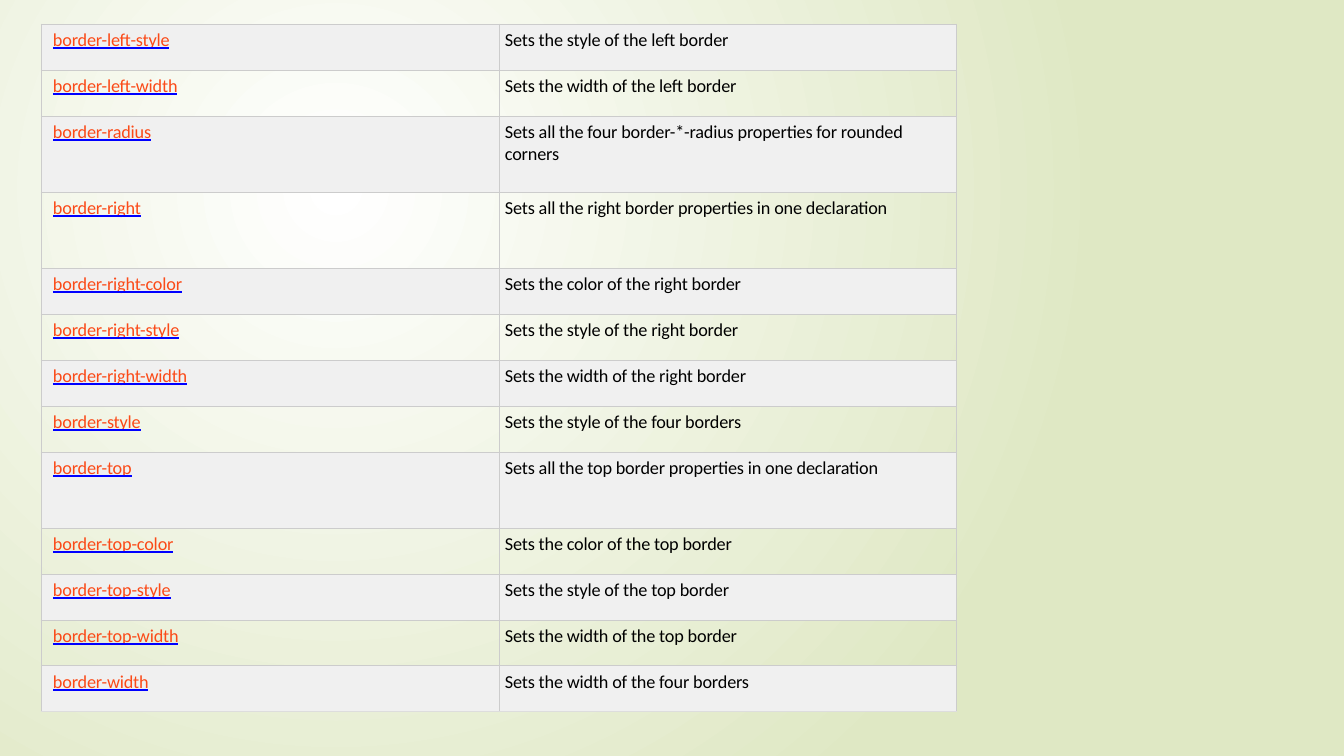
from dataclasses import dataclass

from lxml.etree import SubElement
from pptx import Presentation
from pptx.dml.color import RGBColor
from pptx.oxml import parse_xml
from pptx.oxml.ns import nsdecls, qn
from pptx.util import Pt

PX = 914400 / 100.8


@dataclass(frozen=True)
class Theme:
    font: str = "Calibri"
    size: int = 13
    gap: float = 3.6
    track: int = -10
    ink: str = "000000"
    name: str = "FB4A18"
    under: str = "0000FF"
    band: str = "F0F0F0"
    rule: str = "CCCCCC"
    foot: str = "DDDDDD"
    glow: str = "FFFFFF"
    back: str = "DFE8C4"


T = Theme()
WIDE, LOW, TALL = 458, 46, 76

# Property, meaning, row height
ROWS = [
    ("border-left-style", "Sets the style of the left border", LOW),
    ("border-left-width", "Sets the width of the left border", LOW),
    ("border-radius", "Sets all the four border-*-radius properties for rounded corners", TALL),
    ("border-right", "Sets all the right border properties in one declaration", TALL),
    ("border-right-color", "Sets the color of the right border", LOW),
    ("border-right-style", "Sets the style of the right border", LOW),
    ("border-right-width", "Sets the width of the right border", LOW),
    ("border-style", "Sets the style of the four borders", LOW),
    ("border-top", "Sets all the top border properties in one declaration", TALL),
    ("border-top-color", "Sets the color of the top border", LOW),
    ("border-top-style", "Sets the style of the top border", LOW),
    ("border-top-width", "Sets the width of the top border", LOW),
    ("border-width", "Sets the width of the four borders", LOW),
]


def px(n):
    return round(n * PX)


def solid(parent, color):
    fill = SubElement(parent, qn("a:solidFill"))
    SubElement(fill, qn("a:srgbClr"), val=color)


def write(frame, text, color=T.ink, indent=0, under=None):
    para = frame.paragraphs[0]
    para.space_before = Pt(T.gap)
    props = para._p.get_or_add_pPr()
    props.set("marL", str(px(indent)))
    props.set("indent", "0")
    run = para.add_run()
    run.text = text
    font = run.font
    font.size = Pt(T.size)
    font.color.rgb = RGBColor.from_string(color)
    props = run._r.get_or_add_rPr()
    props.set("spc", str(T.track))
    if under:
        font.underline = True
        solid(SubElement(props, qn("a:uFill")), under)
    font.name = T.font


def edge(cell, foot):
    props = cell._tc.get_or_add_tcPr()
    for side in "LRTB":
        line = SubElement(props, qn(f"a:ln{side}"), w=str(Pt(0.75)))
        solid(line, foot if side == "B" else T.rule)


def style(cell, band, foot):
    cell.margin_left = cell.margin_right = cell.margin_bottom = 0
    cell.margin_top = px(5)
    edge(cell, foot)
    if band:
        cell.fill.solid()
        cell.fill.fore_color.rgb = RGBColor.from_string(T.band)
    else:
        cell.fill.background()


# Soft glow centred in the upper left
def backdrop(slide):
    slide.element.cSld.insert(0, parse_xml(
        f'<p:bg {nsdecls("p", "a")}><p:bgPr><a:gradFill rotWithShape="1"><a:gsLst>'
        f'<a:gs pos="0"><a:srgbClr val="{T.glow}"/></a:gs>'
        f'<a:gs pos="100000"><a:srgbClr val="{T.back}"/></a:gs></a:gsLst>'
        '<a:path path="circle"><a:fillToRect l="50000" t="50000" r="100000" b="100000"/>'
        '</a:path></a:gradFill><a:effectLst/></p:bgPr></p:bg>'))


# Table of border properties
def listing(slide, left, top):
    high = sum(row[2] for row in ROWS)
    table = slide.shapes.add_table(
        len(ROWS), 2, px(left), px(top), px(2 * WIDE), px(high)).table
    table.first_row = table.horz_banding = False
    for col in table.columns:
        col.width = px(WIDE)
    for i, (name, text, tall) in enumerate(ROWS):
        table.rows[i].height = px(tall)
        foot = T.foot if i == len(ROWS) - 1 else T.rule
        for j in range(2):
            style(table.cell(i, j), i % 2 == 0, foot)
        write(table.cell(i, 0).text_frame, name, color=T.name, indent=12, under=T.under)
        write(table.cell(i, 1).text_frame, text, indent=6)


def main():
    deck = Presentation()
    deck.slide_width, deck.slide_height = px(1344), px(756)
    slide = deck.slides.add_slide(deck.slide_layouts[6])
    backdrop(slide)
    listing(slide, 41, 24)
    deck.save("out.pptx")


if __name__ == "__main__":
    main()
